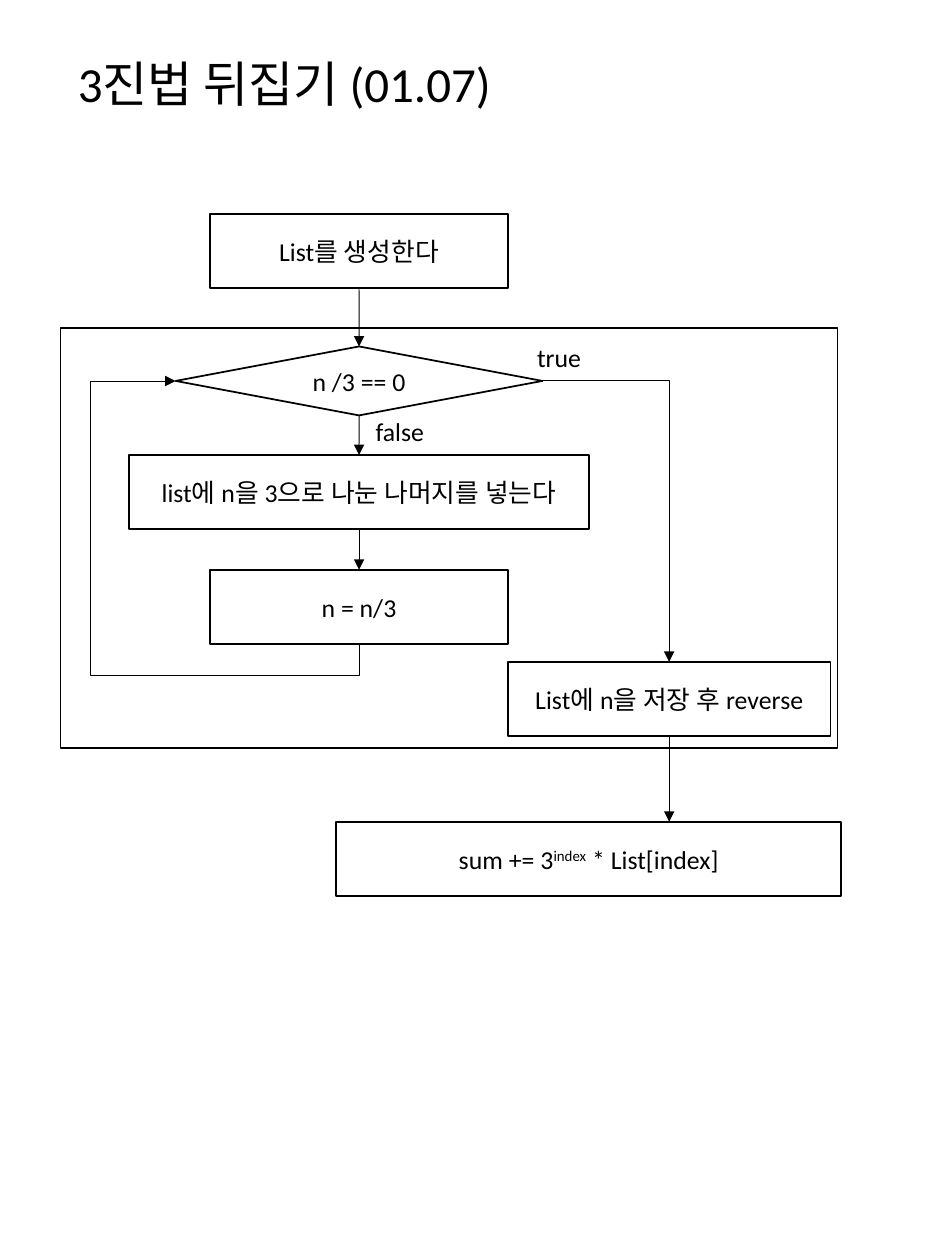
from lxml import etree
from pptx import Presentation
from pptx.dml.color import RGBColor
from pptx.enum.shapes import MSO_CONNECTOR, MSO_SHAPE
from pptx.enum.text import MSO_ANCHOR, PP_ALIGN
from pptx.oxml.ns import qn
from pptx.util import Pt

COLORS = {"ink": "000000"}
INK = RGBColor.from_string(COLORS["ink"])
FONT = "Calibri"
BODY = 14.7
AXIS = 205.2
BOX_H = 42.5
TOP, LEFT, BOTTOM, RIGHT = range(4)


def write(frame, parts, size=BODY, margin=3.6):
    """Fill a text frame with (text, baseline) runs and return its paragraph."""
    frame.word_wrap = True
    frame.margin_left = frame.margin_right = Pt(margin)
    frame.margin_top = frame.margin_bottom = Pt(3.6)
    paragraph = frame.paragraphs[0]
    for text, baseline in parts:
        run = paragraph.add_run()
        run.text = text
        run.font.name = FONT
        run.font.size = Pt(size)
        run.font.color.rgb = INK
        if baseline:
            run.font._element.set("baseline", str(baseline))
    return paragraph


def add_label(slide, text, left, top, width, height, size=BODY, margin=3.6):
    """Add a free text box and return its frame."""
    frame = slide.shapes.add_textbox(Pt(left), Pt(top), Pt(width), Pt(height)).text_frame
    write(frame, [(text, 0)], size, margin)
    return frame


def add_node(slide, parts, center, top, width, height=BOX_H, kind=MSO_SHAPE.RECTANGLE):
    """Add an outlined flowchart shape centred on a vertical axis."""
    node = slide.shapes.add_shape(
        kind, Pt(center - width / 2), Pt(top), Pt(width), Pt(height))
    node.shadow.inherit = False
    node.fill.background()
    node.line.color.rgb = INK
    node.line.width = Pt(1)
    if parts:
        node.text_frame.vertical_anchor = MSO_ANCHOR.MIDDLE
        write(node.text_frame, parts).alignment = PP_ALIGN.CENTER
    return node


def add_arrow(slide, x1, y1, x2, y2, kind=MSO_CONNECTOR.STRAIGHT):
    """Add a thin connector with a triangle at its end."""
    arrow = slide.shapes.add_connector(kind, Pt(x1), Pt(y1), Pt(x2), Pt(y2))
    arrow.line.color.rgb = INK
    arrow.line.width = Pt(0.5)
    etree.SubElement(arrow.line._get_or_add_ln(), qn("a:tailEnd"), type="triangle")
    etree.SubElement(arrow._element.spPr, qn("a:effectLst"))
    return arrow


def link_down(slide, upper, lower):
    """Join the bottom of one node to the top of the next."""
    arrow = add_arrow(slide, AXIS, 0, AXIS, 1)
    arrow.begin_connect(upper, BOTTOM)
    arrow.end_connect(lower, TOP)


def bend(arrow, preset, adjustments=()):
    """Give an elbow connector another preset and its bend positions."""
    geometry = arrow._element.spPr.find(qn("a:prstGeom"))
    geometry.set("prst", preset)
    guides = geometry.find(qn("a:avLst"))
    for number, value in enumerate(adjustments, 1):
        etree.SubElement(guides, qn("a:gd"), name=f"adj{number}",
                         fmla=f"val {round(value * 100000)}")


def add_loop_back(slide, x1, y1, x2, y2, drop, lane):
    """Run an arrow down by drop, left to lane, then up and into (x2, y2)."""
    length, depth = y1 - y2, x1 - x2
    mid_x, mid_y = (x1 + x2) / 2, (y1 + y2) / 2
    arrow = add_arrow(slide, mid_x + length / 2, mid_y - depth / 2,
                      mid_x - length / 2, mid_y + depth / 2, MSO_CONNECTOR.ELBOW)
    arrow._element.spPr.find(qn("a:xfrm")).set("rot", "5400000")
    bend(arrow, "bentConnector4", (-drop / length, (x1 - lane) / depth))


def main():
    """Build the flowchart slide."""
    prs = Presentation()
    prs.slide_width, prs.slide_height = Pt(540), Pt(720)
    slide = prs.slides.add_slide(prs.slide_layouts[6])

    title = add_label(slide, "3진법 뒤집기 (01.07)", 37.4, 27.4, 465.8, 43.9, 28, 7.2)
    title.vertical_anchor = MSO_ANCHOR.MIDDLE
    title.paragraphs[0].line_spacing = 0.9

    create = add_node(slide, [("List를 생성한다", 0)], AXIS, 122.3, 170)
    add_node(slide, [], 256.6, 187.4, 444, 240)
    test = add_node(slide, [("n /3 == 0", 0)], AXIS, 198, 209.6, 39.4, MSO_SHAPE.DIAMOND)
    append = add_node(slide, [("list에 n을 3으로 나눈 나머지를 넣는다", 0)], AXIS, 260, 263)
    divide = add_node(slide, [("n = n/3", 0)], AXIS, 325.6, 170)
    exit_x, reverse_top, sum_top = 382.4, 378.2, 469.6
    reverse = add_node(slide, [("List에 n을 저장 후 reverse", 0)], exit_x, reverse_top, 184.4)
    add_node(slide, [("sum += 3", 0), ("index", 30000), (" * List[index]", 0)],
             336.4, sum_top, 288.8)

    add_label(slide, "false", 211, 234.2, 36, 25).word_wrap = False
    add_label(slide, "true", 303.3, 192, 33, 25).word_wrap = False

    steps = [create, test, append, divide]
    for upper, lower in zip(steps, steps[1:]):
        link_down(slide, upper, lower)
    test_y = 198 + 39.4 / 2
    bend(add_arrow(slide, AXIS + 104.8, test_y, exit_x, reverse_top, MSO_CONNECTOR.ELBOW),
         "bentConnector2")
    add_loop_back(slide, AXIS, 325.6 + BOX_H, AXIS - 104.8, test_y, 18, 52)
    add_arrow(slide, exit_x, 0, exit_x, sum_top).begin_connect(reverse, BOTTOM)

    prs.save("out.pptx")


if __name__ == "__main__":
    main()
